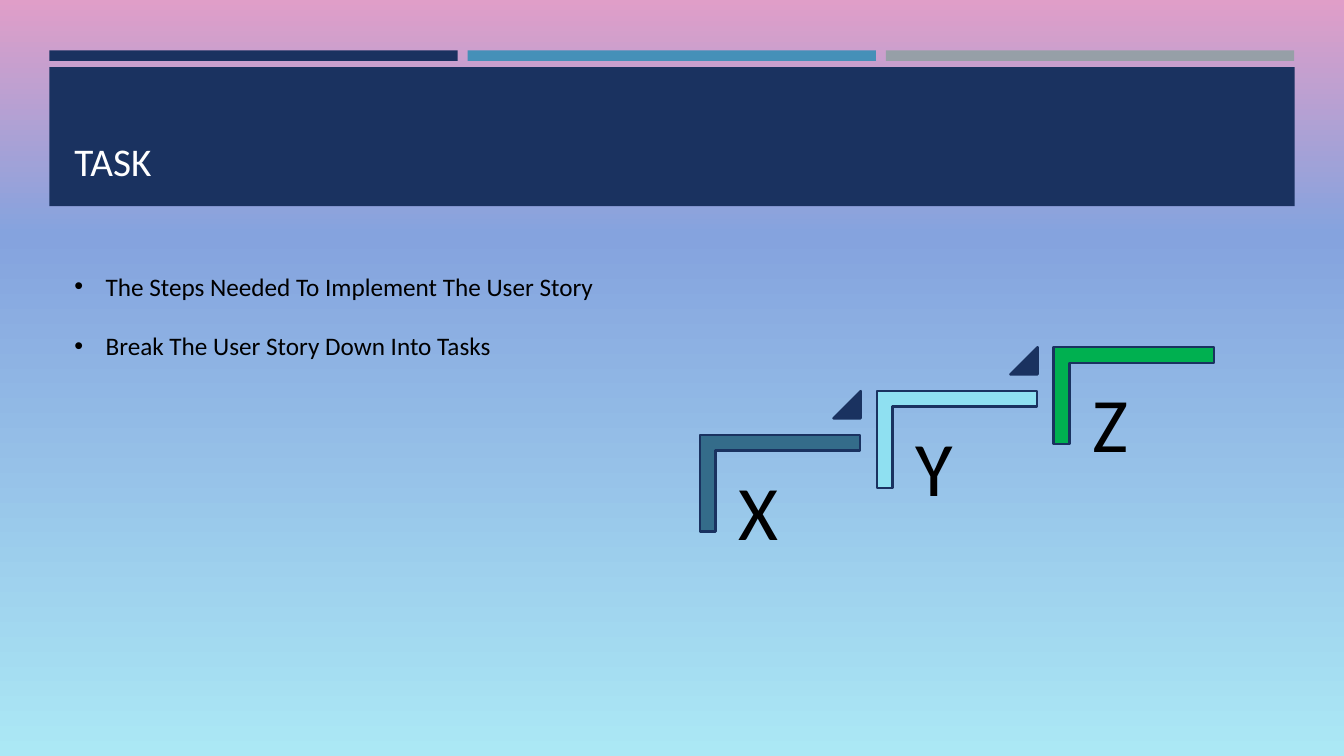
from copy import deepcopy

from lxml.etree import SubElement
from pptx import Presentation
from pptx.dml.color import RGBColor
from pptx.enum.shapes import MSO_SHAPE as Preset
from pptx.enum.text import MSO_ANCHOR as Anchor
from pptx.oxml.ns import qn
from pptx.util import Inches, Pt

CELL = Inches(0.5)
COLUMNS, ROWS = 26.67, 15
MARGIN, CONTENT_LEFT = 0.98, 1.28
COLORS = {
    "navy": "1A3260",
    "blue": "4590B8",
    "gray": "969FA7",
    "teal": "346C8A",
    "aqua": "8FE0F1",
    "green": "00B050",
    "white": "FFFFFF",
    "black": "000000",
    "sky_top": "E09EC8",
    "sky_middle": "85A3DE",
    "sky_bottom": "ABE8F5",
}
SKY = [(0, "sky_top"), (0.31, "sky_middle"), (1, "sky_bottom")]
BARS = ["navy", "blue", "gray"]
BAR_WIDTH, BAR_PITCH = 8.1, 8.3
BULLETS = [
    "The Steps Needed To Implement The User Story",
    "Break The User Story Down Into Tasks",
]
STEPS = [("X", "teal"), ("Y", "aqua"), ("Z", "green")]
STEP_LEFT, STEP_TOP = 14.2, 8.94
STEP_RUN, STEP_RISE = 3.51, 0.87


def grid(*lengths):
    """Turn grid cells into slide lengths."""
    return [round(length * CELL) for length in lengths]


def color(name):
    """Look up a named colour."""
    return RGBColor.from_string(COLORS[name])


def paint_background(slide):
    """Fill the slide with the vertical sky gradient."""
    fill = slide.background.fill
    fill.gradient()
    fill.gradient_angle = 270
    stops = next(slide.element.iter(qn("a:gsLst")))
    stops.append(deepcopy(stops[-1]))
    for stop, (position, name) in zip(fill.gradient_stops, SKY):
        stop.color.rgb = color(name)
        stop.position = position


def add_shape(shapes, preset, box, fill, outline=None, adjustments=(), rotation=0):
    """Add a flat preset shape, outlined on request."""
    shape = shapes.add_shape(preset, *grid(*box))
    shape.shadow.inherit = False
    shape.rotation = rotation
    shape.fill.solid()
    shape.fill.fore_color.rgb = color(fill)
    for index, value in enumerate(adjustments):
        shape.adjustments[index] = value
    if outline:
        shape.line.color.rgb = color(outline)
        shape.line.width = Pt(1.75)
    else:
        shape.line.fill.background()
    return shape


def set_bullet(paragraph):
    """Give a paragraph a hanging round bullet."""
    properties = paragraph._p.get_or_add_pPr()
    indent = Inches(0.31)
    properties.set("marL", str(indent))
    properties.set("indent", str(-indent))
    SubElement(properties, qn("a:buFont"), typeface="Arial")
    SubElement(properties, qn("a:buChar"), char="•")


def add_text(shapes, box, lines, size, fill="black", anchor=Anchor.TOP,
             inset=None, spacing=None, gap=0, bullet=False):
    """Add a text box with one paragraph per line."""
    frame = shapes.add_textbox(*grid(*box)).text_frame
    frame.word_wrap = True
    frame.vertical_anchor = anchor
    if inset is not None:
        frame.margin_left = frame.margin_right = Inches(inset)
        frame.margin_top = frame.margin_bottom = Inches(inset)
    for index, line in enumerate(lines):
        paragraph = frame.add_paragraph() if index else frame.paragraphs[0]
        if index:
            paragraph.space_before = Pt(gap)
        if spacing:
            paragraph.line_spacing = spacing
        if bullet:
            set_bullet(paragraph)
        run = paragraph.add_run()
        run.text = line
        run.font.name = "Calibri"
        run.font.size = Pt(size)
        run.font.color.rgb = color(fill)


def add_header(shapes):
    """Add the three bars and the title banner."""
    for index, name in enumerate(BARS):
        left = MARGIN + index * BAR_PITCH
        add_shape(shapes, Preset.RECTANGLE, (left, 1, BAR_WIDTH, 0.21), name)
    add_shape(shapes, Preset.RECTANGLE,
              (MARGIN, 1.33, COLUMNS - 2 * MARGIN, 2.76), "navy")
    add_text(shapes, (CONTENT_LEFT, 1.6, 24.12, 2.16), ["TASK"], 28,
             fill="white", anchor=Anchor.BOTTOM)


def add_step(shapes, index, letter, name):
    """Add one stair with its letter and, unless last, the rising triangle."""
    left = STEP_LEFT + index * STEP_RUN
    top = STEP_TOP - index * STEP_RISE
    add_shape(shapes, Preset.CORNER, (left + 0.32, top - 0.94, 1.92, 3.18), name,
              outline="navy", adjustments=(0.161, 0.161), rotation=90)
    add_text(shapes, (left, top, 2.88, 2.52), [letter], 55,
             inset=0.23, spacing=0.9)
    if index < len(STEPS) - 1:
        add_shape(shapes, Preset.ISOSCELES_TRIANGLE,
                  (left + 2.34, top - 1.18, 0.54, 0.54), "navy",
                  outline="navy", adjustments=(1,))


def main():
    """Build and save the slide."""
    presentation = Presentation()
    presentation.slide_width, presentation.slide_height = grid(COLUMNS, ROWS)
    slide = presentation.slides.add_slide(presentation.slide_layouts[6])
    paint_background(slide)
    add_header(slide.shapes)
    add_text(slide.shapes, (CONTENT_LEFT, 5.28, 11.52, 2.02), BULLETS, 18,
             gap=21, bullet=True)
    stairs = slide.shapes.add_group_shape().shapes
    for index, (letter, name) in enumerate(STEPS):
        add_step(stairs, index, letter, name)
    presentation.save("out.pptx")


if __name__ == "__main__":
    main()
